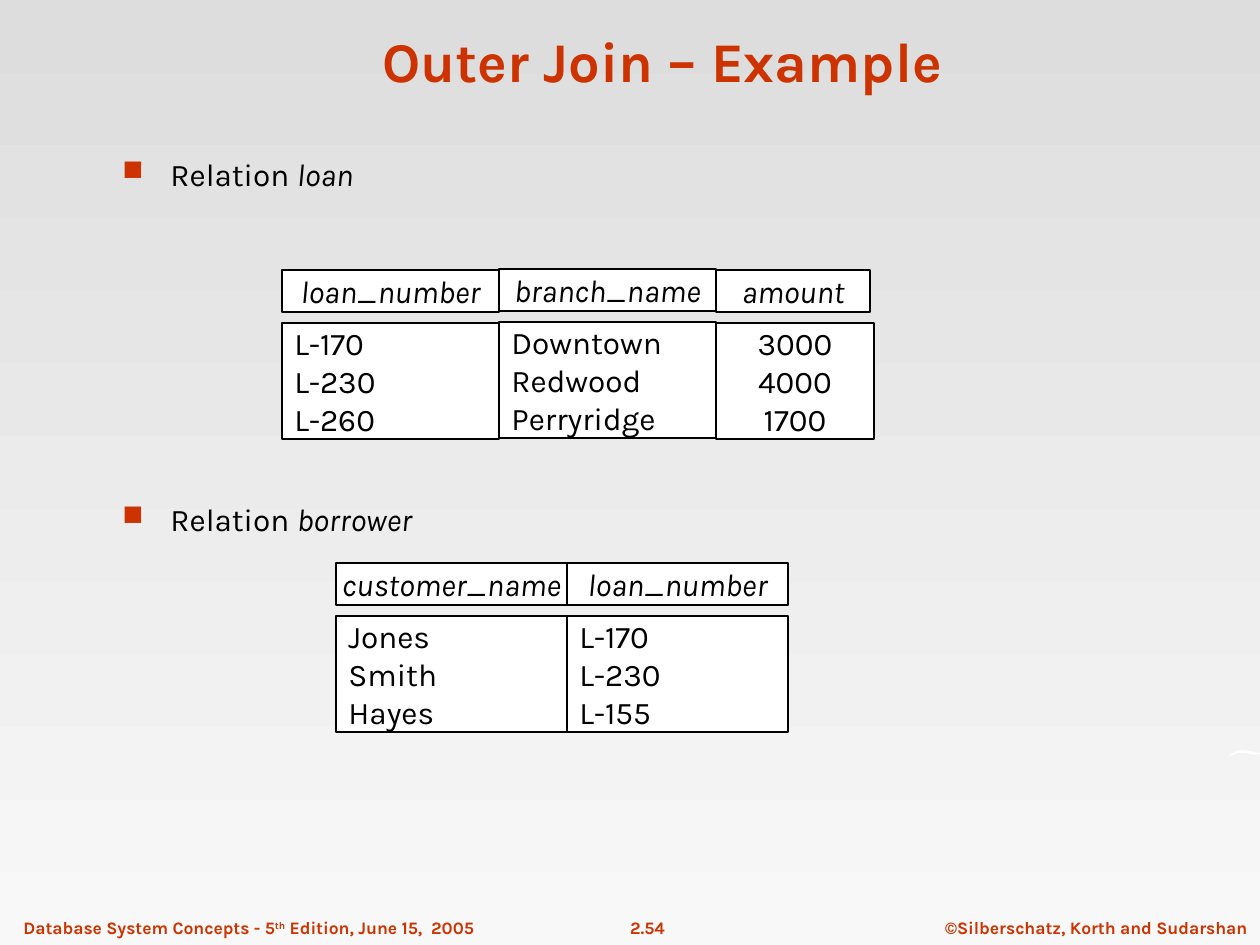
from dataclasses import dataclass

from lxml import etree
from pptx import Presentation
from pptx.dml.color import RGBColor
from pptx.enum.shapes import MSO_SHAPE as Shape
from pptx.enum.text import MSO_ANCHOR as Anchor, MSO_AUTO_SIZE as AutoSize, PP_ALIGN as Align
from pptx.oxml.ns import qn
from pptx.util import Pt

EMU_PER_PX = 914400 / 126
RUST = RGBColor(0xCC, 0x33, 0x00)
BLACK = RGBColor(0x00, 0x00, 0x00)
WHITE = RGBColor(0xFF, 0xFF, 0xFF)
SKY_GREY = RGBColor(0xDD, 0xDD, 0xDD)
PALE_GREY = RGBColor(0xF8, 0xF8, 0xF8)

HEADER_HEIGHT = 42
BODY_OFFSET = 53
BODY_HEIGHT = 116
WAVE = [(1229, 757), (1231, 754), (1236, 751), (1242, 750), (1250, 751), (1260, 753),
        (1260, 754), (1255, 755), (1246, 753), (1238, 753), (1232, 755)]


def px(length):
    return round(length * EMU_PER_PX)


@dataclass
class Column:
    """One attribute; lift raises both boxes, extra widens the lower one."""
    name: str
    width: int
    values: list
    align: Align = Align.LEFT
    lift: int = 0
    extra: int = 0


class SlideBuilder:
    font_name = "Karla"

    def __init__(self, deck):
        self.page = deck.slides.add_slide(deck.slide_layouts[5])

    def style(self, span, size, color, bold=False, italic=False):
        font = span.font
        font.name, font.size = self.font_name, Pt(size)
        font.color.rgb = color
        font.bold, font.italic = bold, italic

    def background(self, top_color, bottom_color):
        fill = self.page.background.fill
        fill.gradient()
        fill.gradient_angle = 270
        for stop, color in zip(fill.gradient_stops, (top_color, bottom_color)):
            stop.color.rgb = color

    def title(self, text, left, top, width, height):
        box = self.page.shapes.title
        box.left, box.top, box.width, box.height = map(px, (left, top, width, height))
        frame = box.text_frame
        frame.text = text
        frame.auto_size = AutoSize.NONE
        frame.vertical_anchor = Anchor.BOTTOM
        frame.paragraphs[0].alignment = Align.CENTER
        self.style(frame.paragraphs[0].runs[0], 32, RUST, bold=True)

    def text_box(self, left, top, width, height):
        """Add a wrapping box and return its first paragraph."""
        box = self.page.shapes.add_textbox(*map(px, (left, top, width, height)))
        box.text_frame.word_wrap = True
        return box.text_frame.paragraphs[0]

    def footer(self, texts, left, width, align=Align.CENTER):
        """Write the texts in one line, every second one as superscript."""
        para = self.text_box(left, 911, width, 34)
        para.alignment = align
        for index, text in enumerate(texts):
            span = para.add_run()
            span.text = text
            self.style(span, 10, RUST, bold=True)
            if index % 2:
                span.font._element.set("baseline", "30000")

    def bullet(self, text, relation, top):
        para = self.text_box(110, top, 960, 67)
        props = para._p.get_or_add_pPr()
        props.set("marL", str(px(48)))
        props.set("indent", str(px(-48)))
        color = etree.SubElement(props, qn("a:buClr"))
        etree.SubElement(color, qn("a:srgbClr"), val=str(RUST))
        etree.SubElement(props, qn("a:buSzPct"), val="90000")
        etree.SubElement(props, qn("a:buChar"), char="■")
        for words, italic in ((text, False), (relation, True)):
            span = para.add_run()
            span.text = words
            self.style(span, 18, BLACK, italic=italic)

    def cell(self, group, lines, left, top, width, height, align, italic=False):
        box = group.shapes.add_shape(Shape.RECTANGLE, *map(px, (left, top, width, height)))
        box.shadow.inherit = False
        box.fill.solid()
        box.fill.fore_color.rgb = WHITE
        box.line.color.rgb = BLACK
        box.line.width = Pt(0.75)
        frame = box.text_frame
        frame.text = "\n".join(lines)
        frame.word_wrap = align == Align.LEFT
        frame.vertical_anchor = Anchor.MIDDLE
        for para in frame.paragraphs:
            para.alignment = align
            self.style(para.runs[0], 18, BLACK, italic=italic)

    def relation(self, left, top, columns):
        """Draw a header box and a box of values for each column."""
        group = self.page.shapes.add_group_shape()
        for column in columns:
            header_top = top - column.lift
            self.cell(group, [column.name], left, header_top, column.width,
                      HEADER_HEIGHT, Align.CENTER, italic=True)
            self.cell(group, column.values, left, header_top + BODY_OFFSET,
                      column.width + column.extra, BODY_HEIGHT, column.align)
            left += column.width

    def outline(self, points, color):
        builder = self.page.shapes.build_freeform(*points[0], scale=EMU_PER_PX)
        builder.add_line_segments(points[1:], close=True)
        shape = builder.convert_to_shape()
        shape.shadow.inherit = False
        shape.fill.solid()
        shape.fill.fore_color.rgb = color
        shape.line.fill.background()


def main():
    deck = Presentation()
    deck.slide_width, deck.slide_height = px(1260), px(945)
    slide = SlideBuilder(deck)
    slide.background(SKY_GREY, PALE_GREY)
    slide.footer(["©Silberschatz, Korth and Sudarshan"], 927, 338)
    slide.footer(["2.54"], 583, 129)
    slide.footer(["Database System Concepts - 5", "th", " Edition, June 15,  2005"],
                 11, 488, Align.LEFT)
    slide.outline(WAVE, WHITE)
    slide.title("Outer Join – Example", 106, 16, 1113, 84)

    slide.bullet("Relation ", "loan", 149)
    slide.relation(282, 270, [
        Column("loan_number", 217, ["L-170", "L-230", "L-260"]),
        Column("branch_name", 217, ["Downtown", "Redwood", "Perryridge"], lift=1),
        Column("amount", 154, ["3000", "4000", "1700"], Align.CENTER, extra=4),
    ])
    slide.bullet("Relation ", "borrower", 494)
    slide.relation(336, 563, [
        Column("customer_name", 231, ["Jones", "Smith", "Hayes"]),
        Column("loan_number", 221, ["L-170", "L-230", "L-155"]),
    ])
    deck.save("out.pptx")


if __name__ == "__main__":
    main()
